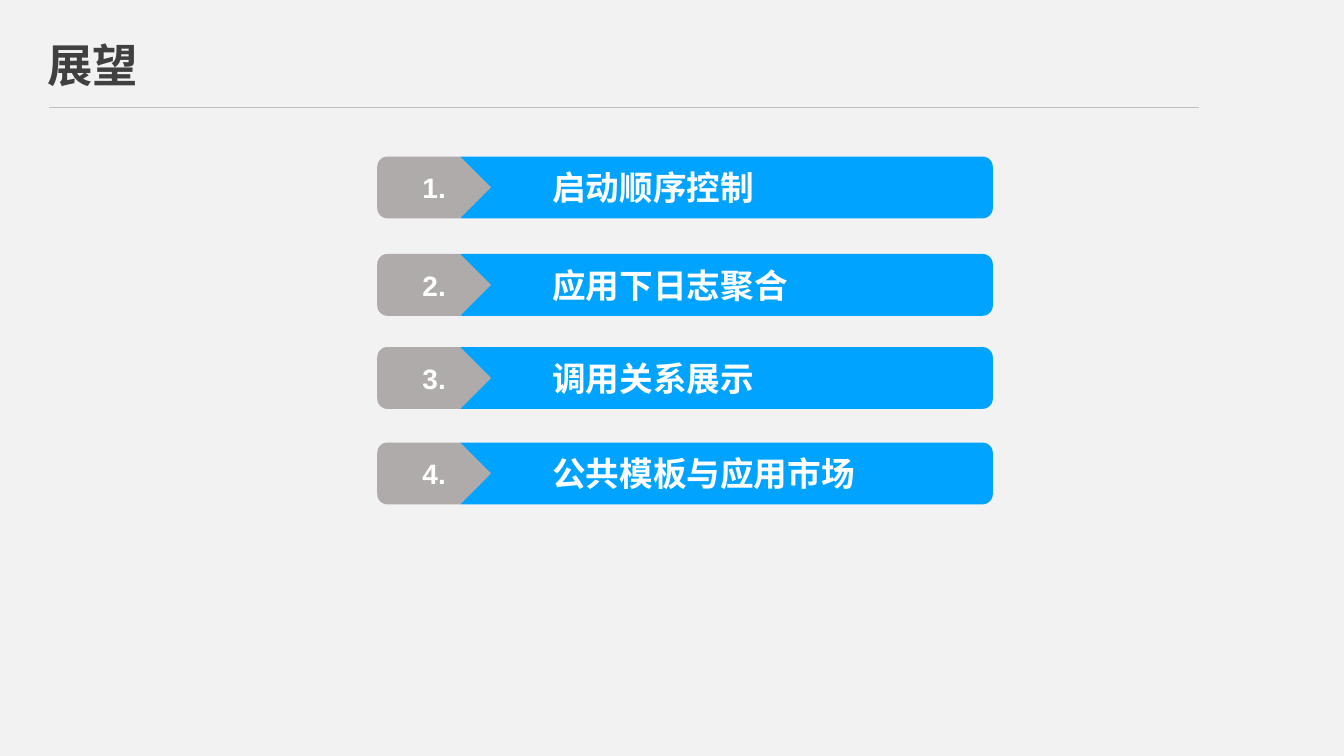
import math

from lxml import etree
from pptx import Presentation
from pptx.dml.color import RGBColor
from pptx.enum import shapes, text
from pptx.oxml import ns
from pptx.util import Pt

COLOURS = {
    "background": "F2F2F2",
    "title": "404040",
    "rule": "BFBFBF",
    "bar": "00A3FF",
    "tag": "AFABAB",
    "white": "FFFFFF",
}
CHINESE_FONT = "Noto Sans CJK SC"
ROW_HEIGHT = 44.2
CORNER = 7.4
PLANS = [
    (111.8, "启动顺序控制"),
    (181.4, "应用下日志聚合"),
    (247.9, "调用关系展示"),
    (316.1, "公共模板与应用市场"),
]


def colour(name):
    """Return the named palette colour."""
    return RGBColor.from_string(COLOURS[name])


def write_text(shape, content, size, font=CHINESE_FONT, fill="white",
               align=text.PP_ALIGN.LEFT, anchor=text.MSO_ANCHOR.MIDDLE,
               wrap=True, line_spacing=1.0):
    """Fill a shape with one bold, formatted paragraph."""
    frame = shape.text_frame
    frame.auto_size = text.MSO_AUTO_SIZE.NONE
    frame.word_wrap = wrap
    frame.vertical_anchor = anchor
    paragraph = frame.paragraphs[0]
    paragraph.alignment = align
    paragraph.line_spacing = line_spacing
    run = paragraph.add_run()
    run.text = content
    run.font.name = font
    run.font.size = Pt(size)
    run.font.bold = True
    run.font.color.rgb = colour(fill)
    properties = run._r.get_or_add_rPr()
    etree.SubElement(properties, ns.qn("a:ea"), typeface=font)


def paint(shape, fill):
    """Give a shape a flat fill without line or shadow."""
    shape.shadow.inherit = False
    shape.fill.solid()
    shape.fill.fore_color.rgb = colour(fill)
    shape.line.fill.background()


def add_heading(slide, left, top, width, height):
    """Place the title and the thin rule below it."""
    title = slide.shapes.title
    title.left, title.top = Pt(left), Pt(top)
    title.width, title.height = Pt(width), Pt(height)
    write_text(title, "展望", 32.4, fill="title", line_spacing=0.9)
    rule_top = Pt(top + height + 4)
    rule = slide.shapes.add_connector(
        shapes.MSO_CONNECTOR.STRAIGHT,
        Pt(left + 8.4), rule_top, Pt(left + width), rule_top)
    rule.line.color.rgb = colour("rule")
    rule.line.width = Pt(0.5)
    etree.SubElement(rule._element.spPr, ns.qn("a:effectLst"))


def add_tag(slide, number, left, top, width, height):
    """Draw the numbered tag with round left corners and a pointed right end."""
    points = [(left + width - height / 2, top),
              (left + width, top + height / 2),
              (left + width - height / 2, top + height)]
    for centre_y, start in ((top + height - CORNER, 90), (top + CORNER, 180)):
        for step in range(13):
            angle = math.radians(start + step * 7.5)
            points.append((left + CORNER + CORNER * math.cos(angle),
                           centre_y + CORNER * math.sin(angle)))
    outline = [(Pt(x), Pt(y)) for x, y in points]
    builder = slide.shapes.build_freeform(*outline[0])
    builder.add_line_segments(outline[1:], close=True)
    tag = builder.convert_to_shape()
    paint(tag, "tag")
    write_text(tag, f"{number}.", 20, font="Arial", align=text.PP_ALIGN.CENTER)


def add_plan(slide, number, label, left, top, width, height):
    """Place one row: a blue bar, its label and its numbered tag."""
    bar_left = left + 53.3
    bar = slide.shapes.add_shape(
        shapes.MSO_SHAPE.ROUNDED_RECTANGLE,
        Pt(bar_left), Pt(top), Pt(left + width - bar_left), Pt(height))
    bar.adjustments[0] = CORNER / height
    paint(bar, "bar")
    size = 24
    box = slide.shapes.add_textbox(
        Pt(left + 118), Pt(top + 4), Pt(len(label) * size + 14.4), Pt(36))
    write_text(box, label, size, anchor=text.MSO_ANCHOR.TOP, wrap=False)
    add_tag(slide, number, left, top, 81.3, height)


def main():
    """Build the outlook slide and save it."""
    presentation = Presentation()
    presentation.slide_width, presentation.slide_height = Pt(960), Pt(540)
    slide = presentation.slides.add_slide(presentation.slide_layouts[5])
    slide.background.fill.solid()
    slide.background.fill.fore_color.rgb = colour("background")
    add_heading(slide, 26.6, 24.5, 829.6, 48.2)
    for number, (top, label) in enumerate(PLANS, 1):
        add_plan(slide, number, label, 269.5, top, 439.7, ROW_HEIGHT)
    presentation.save("out.pptx")


if __name__ == "__main__":
    main()
